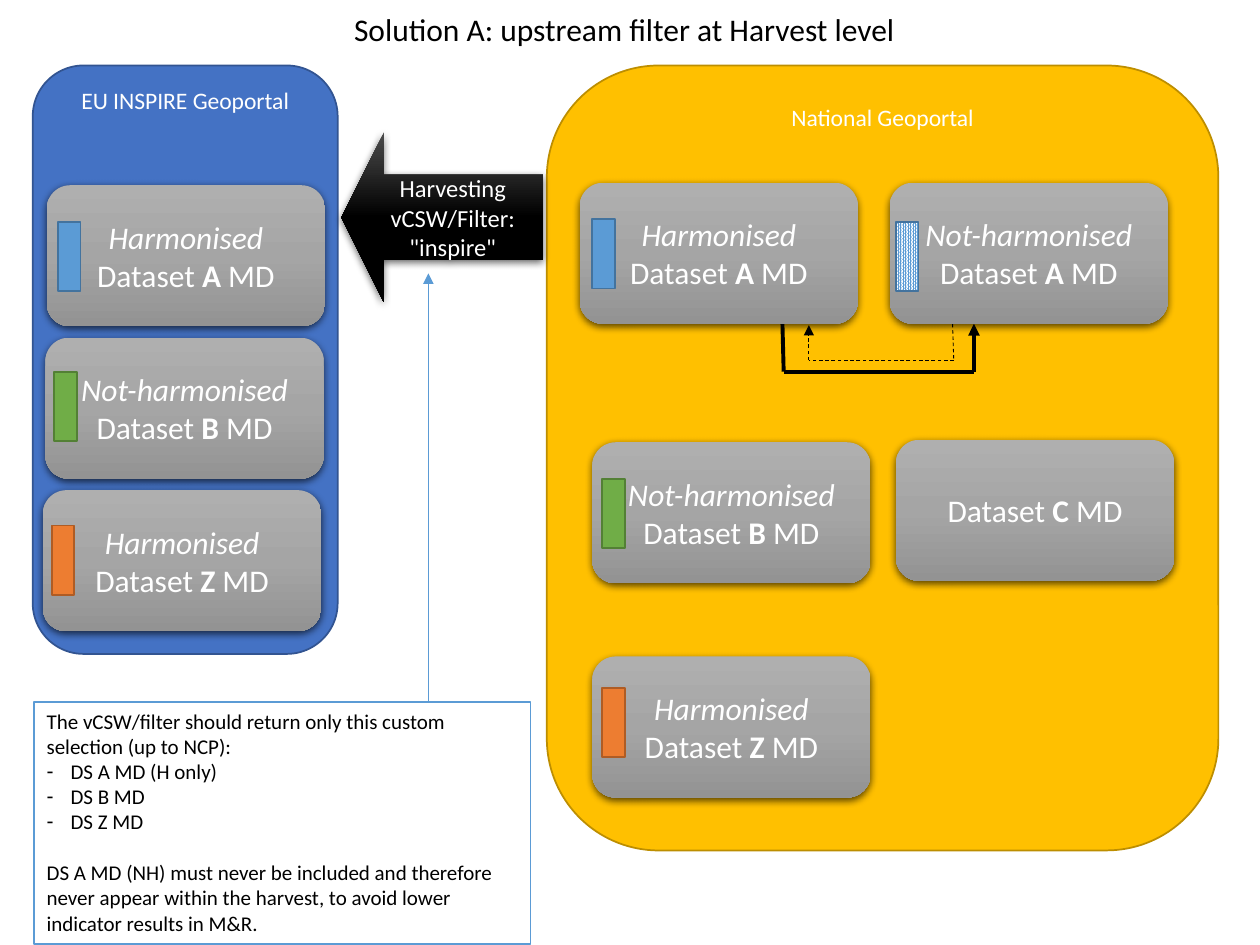
"""Build the slide on upstream filtering at harvest level."""
from copy import deepcopy
from dataclasses import dataclass
from itertools import pairwise
from typing import Optional

from lxml import etree
from pptx import Presentation
from pptx.dml.color import RGBColor
from pptx.enum.dml import MSO_LINE, MSO_PATTERN
from pptx.enum.shapes import MSO_CONNECTOR, MSO_SHAPE
from pptx.enum.text import MSO_ANCHOR, MSO_AUTO_SIZE, PP_ALIGN
from pptx.oxml.ns import qn
from pptx.util import Inches, Pt

ROUND, RECT, ARROW = MSO_SHAPE.ROUNDED_RECTANGLE, MSO_SHAPE.RECTANGLE, MSO_SHAPE.LEFT_ARROW
STRAIGHT, DASH, DOTS = MSO_CONNECTOR.STRAIGHT, MSO_LINE.DASH, MSO_PATTERN.PERCENT_90
TOP, MIDDLE = MSO_ANCHOR.TOP, MSO_ANCHOR.MIDDLE
LEFT, CENTER = PP_ALIGN.LEFT, PP_ALIGN.CENTER
FIXED = MSO_AUTO_SIZE.NONE

FONT = "Calibri"
COLS, ROWS = 100, 75
WIDTH, HEIGHT = Inches(10), Inches(7.5)
CARD = (22.1, 11.2)
CHIP = (1.8, 5.5)

WHITE = RGBColor(0xFF, 0xFF, 0xFF)
BLACK = RGBColor(0, 0, 0)
NAVY = RGBColor(0x44, 0x72, 0xC4)
NAVY_EDGE = RGBColor(0x32, 0x54, 0x91)
GOLD = RGBColor(0xFF, 0xC0, 0x00)
GOLD_EDGE = RGBColor(0xBD, 0x8E, 0x00)
BLUE = RGBColor(0x5B, 0x9B, 0xD5)
BLUE_EDGE = RGBColor(0x43, 0x73, 0x9E)
GREEN = RGBColor(0x70, 0xAD, 0x47)
GREEN_EDGE = RGBColor(0x53, 0x80, 0x35)
RUST = RGBColor(0xED, 0x7D, 0x31)
RUST_EDGE = RGBColor(0xAF, 0x5C, 0x24)
GREYS = [RGBColor(0xAF, 0xAF, 0xAF), RGBColor(0xA5, 0xA5, 0xA5), RGBColor(0x93, 0x93, 0x93)]
DARKS = [RGBColor(0x4B, 0x4B, 0x4B), BLACK, BLACK]


@dataclass
class Chip:
    dx: float
    dy: float
    fill: RGBColor
    edge: RGBColor
    dots: bool = False


@dataclass
class Card:
    col: float
    row: float
    kind: str
    name: str
    chip: Optional[Chip] = None


@dataclass
class Panel:
    box: tuple
    fill: RGBColor
    edge: RGBColor
    label: str


@dataclass
class Link:
    spots: list
    color: RGBColor
    width: float
    dash: bool = False


PANELS = [
    Panel((2.6, 5.2, 24.2, 46.7), NAVY, NAVY_EDGE, "EU INSPIRE Geoportal"),
    Panel((43.4, 5.2, 53.3, 62.3), GOLD, GOLD_EDGE, "National Geoportal"),
]
LINKS = [
    Link([(62.1, 25.7), (62.2, 29.5), (77.3, 29.5), (77.3, 25.7)], BLACK, 2.25),
    Link([(75.6, 25.7), (75.7, 28.6), (64.2, 28.6), (64.2, 25.8)], BLACK, 0.5, True),
    Link([(34, 55.7), (34, 21.7)], BLUE, 0.5),
]
CARDS = [
    Card(3.7, 14.7, "Harmonised", "A", Chip(0.9, 2.9, BLUE, BLUE_EDGE)),
    Card(3.6, 26.8, "Not-harmonised", "B", Chip(0.7, 2.7, GREEN, GREEN_EDGE)),
    Card(3.4, 38.9, "Harmonised", "Z", Chip(0.7, 2.8, RUST, RUST_EDGE)),
    Card(46, 14.5, "Harmonised", "A", Chip(1, 2.9, BLUE, BLUE_EDGE)),
    Card(70.6, 14.5, "Not-harmonised", "A", Chip(0.5, 3.1, BLUE, BLUE_EDGE, True)),
    Card(47, 35.1, "Not-harmonised", "B", Chip(0.8, 2.9, GREEN, GREEN_EDGE)),
    Card(71.1, 34.9, "", "C"),
    Card(47, 52.1, "Harmonised", "Z", Chip(0.8, 2.5, RUST, RUST_EDGE)),
]
INTRO = "The vCSW/filter should return only this custom selection (up to NCP):"
ITEMS = ["DS A MD (H only)", "DS B MD", "DS Z MD"]
CLOSE = ("DS A MD (NH) must never be included and therefore never appear within "
         "the harvest, to avoid lower indicator results in M&R.")


def across(cols: float) -> int:
    """Turn grid columns into a length."""
    return round(WIDTH * cols / COLS)


def down(rows: float) -> int:
    """Turn grid rows into a length."""
    return round(HEIGHT * rows / ROWS)


def place(shape, box: tuple) -> None:
    """Move a shape to a grid box."""
    col, row, wide, high = box
    shape.left, shape.top = across(col), down(row)
    shape.width, shape.height = across(wide), down(high)


def add_box(slide, form, box: tuple, fill=None, edge=None):
    """Add a flat preset shape with an optional fill and edge."""
    col, row, wide, high = box
    shape = slide.shapes.add_shape(form, across(col), down(row), across(wide), down(high))
    shape.shadow.inherit = False
    if fill is not None:
        shape.fill.solid()
        shape.fill.fore_color.rgb = fill
    if edge is None:
        shape.line.fill.background()
    else:
        shape.line.color.rgb = edge
        shape.line.width = Pt(1)
    return shape


def shade(shape, colors: list) -> None:
    """Give a shape a three-stop gradient and a soft shadow below."""
    shape.fill.gradient()
    shape.fill.gradient_angle = 270
    props = shape._element.spPr
    first = props.find(".//" + qn("a:gs"))
    first.addnext(deepcopy(first))
    for stop, color, spot in zip(shape.fill.gradient_stops, colors, (0, 0.5, 1)):
        stop.color.rgb = color
        stop.position = spot
    cast = etree.SubElement(props.find(qn("a:effectLst")), qn("a:outerShdw"),
                            blurRad="57150", dist="19050", dir="5400000",
                            algn="ctr", rotWithShape="0")
    tint = etree.SubElement(cast, qn("a:srgbClr"), val="000000")
    etree.SubElement(tint, qn("a:alpha"), val="63000")


def write(frame, lines: list, size: float, color: RGBColor, align=CENTER, anchor=MIDDLE) -> list:
    """Write one paragraph per line and return the paragraphs."""
    frame.word_wrap = True
    frame.auto_size = FIXED
    frame.vertical_anchor = anchor
    frame.text = "\n".join(lines)
    for para in frame.paragraphs:
        para.alignment = align
        font = para.font
        font.name, font.size, font.color.rgb = FONT, Pt(size), color
    return list(frame.paragraphs)


def add_panel(slide, panel: Panel) -> None:
    """Add a portal panel with its label on top."""
    frame = add_box(slide, ROUND, panel.box, panel.fill, panel.edge).text_frame
    frame.margin_left = frame.margin_right = Inches(0.07)
    frame.margin_top = frame.margin_bottom = Inches(0.04)
    write(frame, [panel.label], 13.5, WHITE, anchor=TOP)


def add_link(slide, link: Link) -> None:
    """Add a chain of lines ending in an arrowhead."""
    for start, end in pairwise(link.spots):
        line = slide.shapes.add_connector(STRAIGHT, across(start[0]), down(start[1]),
                                          across(end[0]), down(end[1]))
        line.line.color.rgb = link.color
        line.line.width = Pt(link.width)
        if link.dash:
            line.line.dash_style = DASH
        etree.SubElement(line._element.spPr, qn("a:effectLst"))
    etree.SubElement(line._element.spPr.find(qn("a:ln")), qn("a:tailEnd"), type="triangle")


def add_card(slide, card: Card) -> None:
    """Add a dataset card and its colour chip."""
    shape = add_box(slide, ROUND, (card.col, card.row, *CARD))
    shade(shape, GREYS)
    heads = [card.kind] if card.kind else []
    paras = write(shape.text_frame, heads + ["Dataset "], 18, WHITE)
    if heads:
        paras[0].font.italic = True
    name = paras[-1].add_run()
    name.text, name.font.bold = card.name, True
    paras[-1].add_run().text = " MD"
    chip = card.chip
    if chip:
        box = (card.col + chip.dx, card.row + chip.dy, *CHIP)
        mark = add_box(slide, RECT, box, chip.fill, chip.edge)
        if chip.dots:
            mark.fill.patterned()
            mark.fill.pattern = DOTS
            mark.fill.fore_color.rgb, mark.fill.back_color.rgb = chip.fill, WHITE


def fill_note(note) -> None:
    """Format the body placeholder as the framed note."""
    place(note, (2.7, 55.7, 39.4, 19.2))
    note.fill.solid()
    note.fill.fore_color.rgb = WHITE
    note.line.color.rgb = BLUE
    note.line.width = Pt(1)
    frame = note.text_frame
    frame.text = "\n".join([INTRO, *ITEMS, CLOSE])
    for para in frame.paragraphs:
        props = para._p.get_or_add_pPr()
        listed = para.text in ITEMS
        inset = Inches(0.19) if listed else 0
        props.set("marL", str(inset))
        props.set("indent", str(-inset))
        if listed:
            etree.SubElement(props, qn("a:buChar"), char="-")
        else:
            etree.SubElement(props, qn("a:buNone"))
    frame.word_wrap, frame.auto_size, frame.vertical_anchor = True, FIXED, TOP
    for para in frame.paragraphs:
        para.alignment, para.space_before = LEFT, Pt(0)
        font = para.font
        font.name, font.size, font.color.rgb = FONT, Pt(12), BLACK
    frame.paragraphs[-1].space_before = Pt(14.6)


def main() -> None:
    """Build and save the slide."""
    deck = Presentation()
    deck.slide_width, deck.slide_height = WIDTH, HEIGHT
    slide = deck.slides.add_slide(deck.slide_layouts[1])
    title, note = slide.placeholders
    place(title, (27.1, 0.3, 45.4, 4))
    write(title.text_frame, ["Solution A: upstream filter at Harvest level"], 18, BLACK, LEFT)
    fill_note(note)
    for panel in PANELS:
        add_panel(slide, panel)
    for link in LINKS:
        add_link(slide, link)
    arrow = add_box(slide, ARROW, (27.1, 10.5, 16, 13.5))
    arrow.adjustments[1] = 0.25
    shade(arrow, DARKS)
    write(arrow.text_frame, ["Harvesting", 'vCSW/Filter: "inspire"'], 14, WHITE)
    for card in CARDS:
        add_card(slide, card)
    deck.save("out.pptx")


if __name__ == "__main__":
    main()
